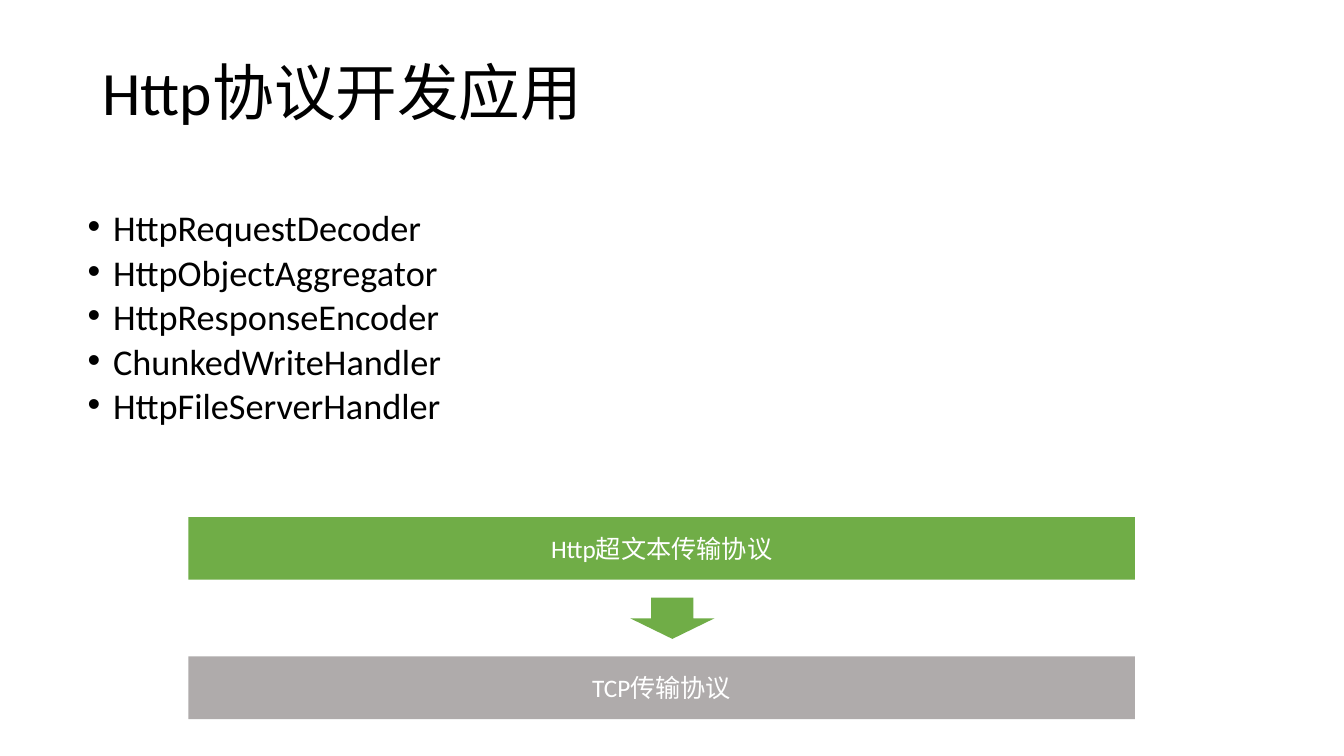
"""Build a slide on developing applications with the Http protocol."""
import dataclasses

import lxml.etree
import pptx
import pptx.dml.color
import pptx.enum.shapes
import pptx.enum.text
import pptx.oxml.ns
import pptx.util

Cm = pptx.util.Cm
Pt = pptx.util.Pt
Align = pptx.enum.text.PP_ALIGN
Anchor = pptx.enum.text.MSO_ANCHOR
Kind = pptx.enum.shapes.MSO_SHAPE
GREEN, GREY, BLACK, WHITE = "70AD47", "AFABAB", "000000", "FFFFFF"
CLASSES = (
    "HttpRequestDecoder",
    "HttpObjectAggregator",
    "HttpResponseEncoder",
    "ChunkedWriteHandler",
    "HttpFileServerHandler",
)


@dataclasses.dataclass(frozen=True)
class Block:
    kind: Kind
    left: float
    top: float
    width: float
    height: float
    fill: str
    text: str = ""


BLOCKS = (
    Block(Kind.RECTANGLE, 4.75, 13.03, 23.85, 1.58, GREEN, "Http超文本传输协议"),
    Block(Kind.RECTANGLE, 4.75, 16.54, 23.85, 1.58, GREY, "TCP传输协议"),
    Block(Kind.DOWN_ARROW, 15.88, 15.06, 2.13, 1.04, GREEN),
)


def color(code: str) -> pptx.dml.color.RGBColor:
    return pptx.dml.color.RGBColor.from_string(code)


def style(frame, size: float, code: str, align: Align, anchor: Anchor) -> None:
    frame.word_wrap = True
    frame.auto_size = pptx.enum.text.MSO_AUTO_SIZE.NONE
    frame.vertical_anchor = anchor
    for para in frame.paragraphs:
        para.alignment = align
        for run in para.runs:
            run.font.name = "Calibri"
            run.font.size = Pt(size)
            run.font.color.rgb = color(code)


def add_title(slide) -> None:
    title = slide.shapes.title
    title.left, title.top = Cm(2.33), Cm(0.56)
    title.width, title.height = Cm(29.21), Cm(3.68)
    title.text_frame.text = "Http协议开发应用"
    title.text_frame.paragraphs[0].line_spacing = 0.9
    style(title.text_frame, 44, BLACK, Align.LEFT, Anchor.MIDDLE)


def add_bullet(para) -> None:
    props = para._p.get_or_add_pPr()
    props.set("marL", str(Cm(0.64)))
    props.set("indent", str(Cm(-0.64)))
    for tag, key, value in (("a:buFont", "typeface", "Arial"), ("a:buChar", "char", "•")):
        lxml.etree.SubElement(props, pptx.oxml.ns.qn(tag)).set(key, value)


def add_list(slide) -> None:
    box = slide.shapes.add_textbox(Cm(1.96), Cm(5.36), Cm(29.57), Cm(5.77))
    frame = box.text_frame
    frame.text = "\n".join(CLASSES)
    style(frame, 25.9, BLACK, Align.LEFT, Anchor.TOP)
    for para in frame.paragraphs:
        para.line_spacing = 0.7
        para.space_before = Pt(10)
        add_bullet(para)


def add_block(slide, block: Block) -> None:
    shape = slide.shapes.add_shape(
        block.kind, Cm(block.left), Cm(block.top), Cm(block.width), Cm(block.height)
    )
    shape.shadow.inherit = False
    shape.fill.solid()
    shape.fill.fore_color.rgb = color(block.fill)
    shape.line.fill.background()
    if block.text:
        shape.text_frame.text = block.text
        style(shape.text_frame, 18, WHITE, Align.CENTER, Anchor.MIDDLE)


def main() -> None:
    deck = pptx.Presentation()
    deck.slide_width, deck.slide_height = Cm(33.87), Cm(19.05)
    slide = deck.slides.add_slide(deck.slide_layouts[5])
    add_title(slide)
    for block in BLOCKS:
        add_block(slide, block)
    add_list(slide)
    deck.save("out.pptx")


if __name__ == "__main__":
    main()
